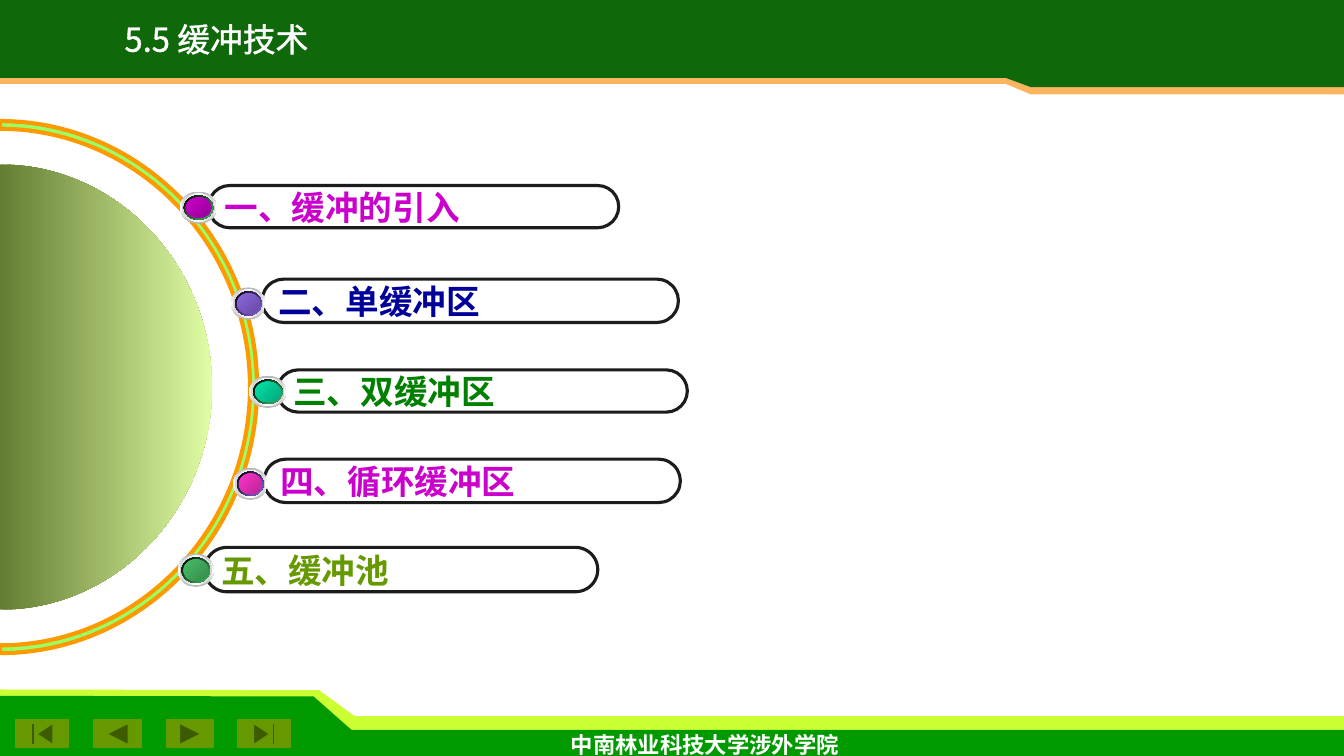
"""Agenda slide: five topics on an arc, with a green header and footer."""
from copy import deepcopy

from lxml import etree
from pptx import Presentation
from pptx import util as u
from pptx.dml.color import RGBColor
from pptx.enum import shapes as kinds, text as txt
from pptx.oxml.ns import qn

KIND = kinds.MSO_SHAPE
WIDE, HIGH = 960, 540
MID = 276.5  # height of the arc's centre
BEND = 0.55  # control length of a quarter ellipse

WHITE = RGBColor(0xFF, 0xFF, 0xFF)
BLACK = RGBColor(0, 0, 0)
INK = RGBColor(0x1C, 0x1C, 0x1C)
PINE = RGBColor(0x0F, 0x69, 0x0B)
PEACH = RGBColor(0xFB, 0xB5, 0x61)
GREEN = RGBColor(0, 0x99, 0)
LIME = RGBColor(0xCC, 0xFF, 0x33)
MINT = RGBColor(0x99, 0xFF, 0x66)
AMBER = RGBColor(0xFF, 0x99, 0)
OLIVE = RGBColor(0x66, 0x99, 0)
MOSS = RGBColor(0x63, 0x7D, 0x32)
PALE = RGBColor(0xE0, 0xFC, 0xA4)
GREY = RGBColor(0xB6, 0xB6, 0xB6)
SILVER = RGBColor(0xD1, 0xD1, 0xD1)
LEAF = RGBColor(0x48, 0xBE, 0x67)
FERN = RGBColor(0x35, 0x8B, 0x4B)
LILAC = RGBColor(0x8D, 0x67, 0xE1)
GRAPE = RGBColor(0x67, 0x4B, 0xA4)
PURPLE = RGBColor(0xCC, 0, 0xCC)
PLUM = RGBColor(0x95, 0, 0x95)
NAVY = RGBColor(0, 0, 0x99)
FOREST = RGBColor(0, 0x80, 0)
JADE = RGBColor(0, 0xE4, 0xA8)
TEAL = RGBColor(0, 0xA7, 0x7B)
PINK = RGBColor(0xFF, 0x33, 0xCC)
ROSE = RGBColor(0xBA, 0x25, 0x95)

# text, text colour, pill box, ball box, rim colour, ball colours
TOPICS = [
    ("三、双缓冲区", FOREST, (198, 264.2, 293, 30.2),
     (178, 268.4, 26.6, 23), LEAF, (JADE, TEAL)),
    ("四、循环缓冲区 ", PURPLE, (188.6, 328, 297.4, 31),
     (166.5, 334.1, 24.5, 23), LILAC, (PINK, ROSE)),
    ("五、缓冲池 ", OLIVE, (146.2, 391, 280.8, 31.7),
     (126.9, 395.4, 25.9, 23.8), LEAF, (LEAF, FERN)),
    ("一、缓冲的引入 ", PURPLE, (149, 132.5, 293, 30.2),
     (128.5, 136.8, 26.6, 23), LEAF, (PURPLE, PLUM)),
    ("二、单缓冲区", NAVY, (187.2, 199.4, 297.4, 31),
     (165.1, 205.3, 24.5, 23), LILAC, (LILAC, GRAPE)),
]
BUTTONS = [
    (KIND.ACTION_BUTTON_BACK_OR_PREVIOUS, 67, 34),
    (KIND.ACTION_BUTTON_FORWARD_OR_NEXT, 118.8, 34),
    (KIND.ACTION_BUTTON_BEGINNING, 11.2, 38),
    (KIND.ACTION_BUTTON_END, 169.7, 38),
]


def style(shape, fill=None, line=None, width=0.75, angle=0):
    """Set fill (none, one colour or a list for a gradient) and line."""
    shape.shadow.inherit = False
    if fill is None:
        shape.fill.background()
    elif isinstance(fill, RGBColor):
        shape.fill.solid()
        shape.fill.fore_color.rgb = fill
    else:
        blend(shape, fill, angle)
    if line is None:
        shape.line.fill.background()
    else:
        shape.line.color.rgb = line
        shape.line.width = u.Pt(width)


def blend(shape, tones, angle):
    """Fill with evenly spaced gradient tones; the angle runs clockwise."""
    shape.fill.gradient()
    shape.fill.gradient_angle = -angle % 360
    stops = shape._element.spPr.find(".//" + qn("a:gsLst"))
    for _ in tones[2:]:
        stops.append(deepcopy(stops[0]))
    for i, (stop, tone) in enumerate(zip(shape.fill.gradient_stops, tones)):
        stop.color.rgb = tone
        stop.position = i / (len(tones) - 1)


def place(pool, kind, box, **look):
    """Add a preset shape."""
    shape = pool.add_shape(kind, *map(u.Pt, box))
    style(shape, **look)
    return shape


def trace(pool, points, **look):
    """Add a closed outline through the points."""
    spots = [(u.Pt(x), u.Pt(y)) for x, y in points]
    pen = pool.build_freeform(*spots[0], scale=1.0)
    pen.add_line_segments(spots[1:], close=True)
    shape = pen.convert_to_shape()
    style(shape, **look)
    return shape


def curve(shape):
    """Turn the slanted edges of an outline into quarter ellipses."""
    spots = list(shape._element.iter(qn("a:pt")))
    ends = [(int(s.get("x")), int(s.get("y"))) for s in spots]
    for spot, (x, y), (p, q) in zip(spots[1:], ends, ends[1:]):
        if x == p or y == q:
            continue
        dx, dy = BEND * (p - x), BEND * (q - y)
        if x < p:
            guides = (x + dx, y), (p, q - dy)
        else:
            guides = (x, y + dy), (p - dx, q)
        edge = spot.getparent()
        bow = etree.Element(qn("a:cubicBezTo"))
        for gx, gy in guides:
            etree.SubElement(bow, qn("a:pt"), x=str(round(gx)),
                             y=str(round(gy)))
        edge.getparent().replace(edge, bow)
        bow.append(spot)


def arc(wide, high):
    """Return the corner points of a right half ellipse, going down."""
    return [(0, MID - high), (wide, MID), (0, MID + high)]


def write(shape, words, size=24, font="Arial", color=WHITE, bold=False,
          align=txt.PP_ALIGN.LEFT, wrap=False, space=None, edge=None):
    """Put one formatted line into a shape."""
    frame = shape.text_frame
    frame.word_wrap = wrap
    frame.vertical_anchor = txt.MSO_ANCHOR.MIDDLE
    frame.margin_top = frame.margin_bottom = 0
    para = frame.paragraphs[0]
    para.alignment = align
    para.line_spacing = space
    run = para.add_run()
    run.text = words
    run.font.size = u.Pt(size)
    run.font.name = font
    run.font.bold = bold
    run.font.color.rgb = color
    form = run.font._element
    east = form.makeelement(qn("a:ea"), {"typeface": "Noto Sans CJK SC"})
    form.find(qn("a:latin")).addnext(east)
    if edge:
        rim = form.makeelement(qn("a:ln"), {"w": str(u.Pt(edge))})
        rim.append(deepcopy(form.find(qn("a:solidFill"))))
        form.insert(0, rim)


def label(pool, words, box, **form):
    """Add a centred text box."""
    write(pool.add_textbox(*map(u.Pt, box)), words,
          align=txt.PP_ALIGN.CENTER, **form)


def ball(pool, box, rim, tones):
    """Stack ever smaller discs into a shaded ball."""
    x, y, w, h = box
    layers = [((GREY, WHITE, GREY), 90), ((SILVER, WHITE, SILVER), 0),
              ((BLACK, rim), 45), (tones, 45)]
    for i, (fill, angle) in enumerate(layers):
        gap = 1.4 * i
        place(pool, KIND.OVAL, (x + gap, y + gap, w - 2 * gap, h - 2 * gap),
              fill=fill, angle=angle)


def topic(pool, words, color, pill, spot, rim, tones):
    """Add a grouped pill with its text and ball."""
    group = pool.add_group_shape().shapes
    shape = place(group, KIND.ROUNDED_RECTANGLE, pill, line=INK, width=2.25)
    shape.adjustments[0] = 0.5
    write(shape, words, color=color, bold=True, wrap=True)
    ball(group, spot, rim, tones)


def frame(pool):
    """Add the footer and header bands with the buttons."""
    trace(pool, [(0, 492.5), (228, 493), (253.5, 511.6), (WIDE, 511.6),
                 (WIDE, 533), (0, 533)], fill=LIME)
    trace(pool, [(0, 497), (224, 497.5), (251, 521.3), (WIDE, 521.3),
                 (WIDE, HIGH), (0, HIGH)], fill=GREEN)
    for kind, x, w in BUTTONS:
        place(pool, kind, (x, 514.3, w, 20), fill=OLIVE, line=OLIVE)
    for color, left, right in ((PEACH, 60, 67.5), (PINE, 55.7, 62.3)):
        trace(pool, [(0, 0), (0, left), (718.5, left), (736.5, right),
                     (WIDE, right), (WIDE, 0)], fill=color)
    strip = trace(pool, [(724.3, 67.7), (950.4, 67.7), (949.7, 71.3),
                         (733.7, 72)], fill=WHITE)
    tone = strip._element.spPr.find(qn("a:solidFill"))[0]
    etree.SubElement(tone, qn("a:alpha"), val="30000")
    label(pool, "中南林业科技大学涉外学院", (398.4, 518.4, 210.2, 26.6),
          size=16, font="Open Sans", bold=True)


def main():
    """Build and save the slide."""
    deck = Presentation()
    deck.slide_width, deck.slide_height = u.Pt(WIDE), u.Pt(HIGH)
    pool = deck.slides.add_slide(deck.slide_layouts[6]).shapes
    frame(pool)
    curve(trace(pool, arc(183.6, 190) + arc(178.6, 184.5)[::-1],
                fill=MINT, line=AMBER, width=3))
    curve(trace(pool, arc(151.4, 159), fill=(MOSS, PALE)))
    for item in TOPICS:
        topic(pool, *item)
    label(pool, "5.5 缓冲技术 ", (43.8, 15.1, 226.8, 30.2), size=23.4,
          font="Noto Sans CJK SC", space=0.8, edge=1.5)
    deck.save("out.pptx")


main()
